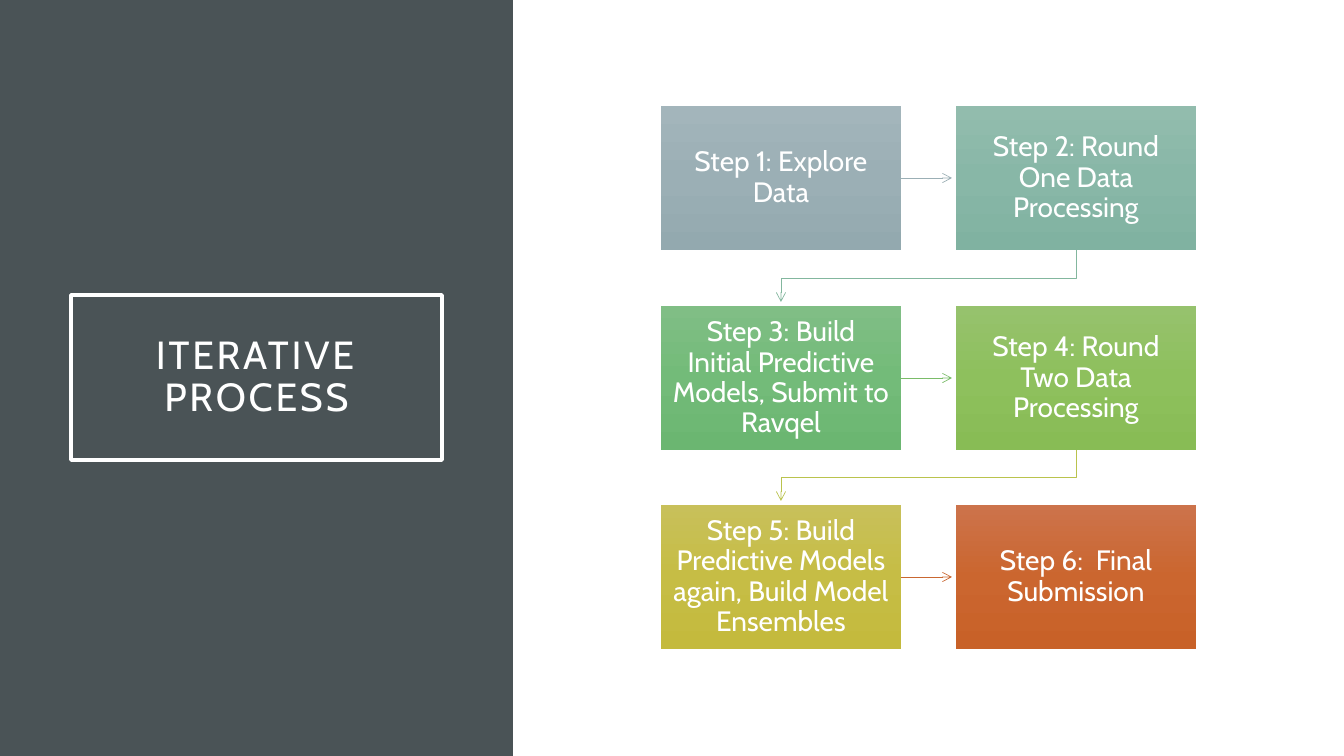
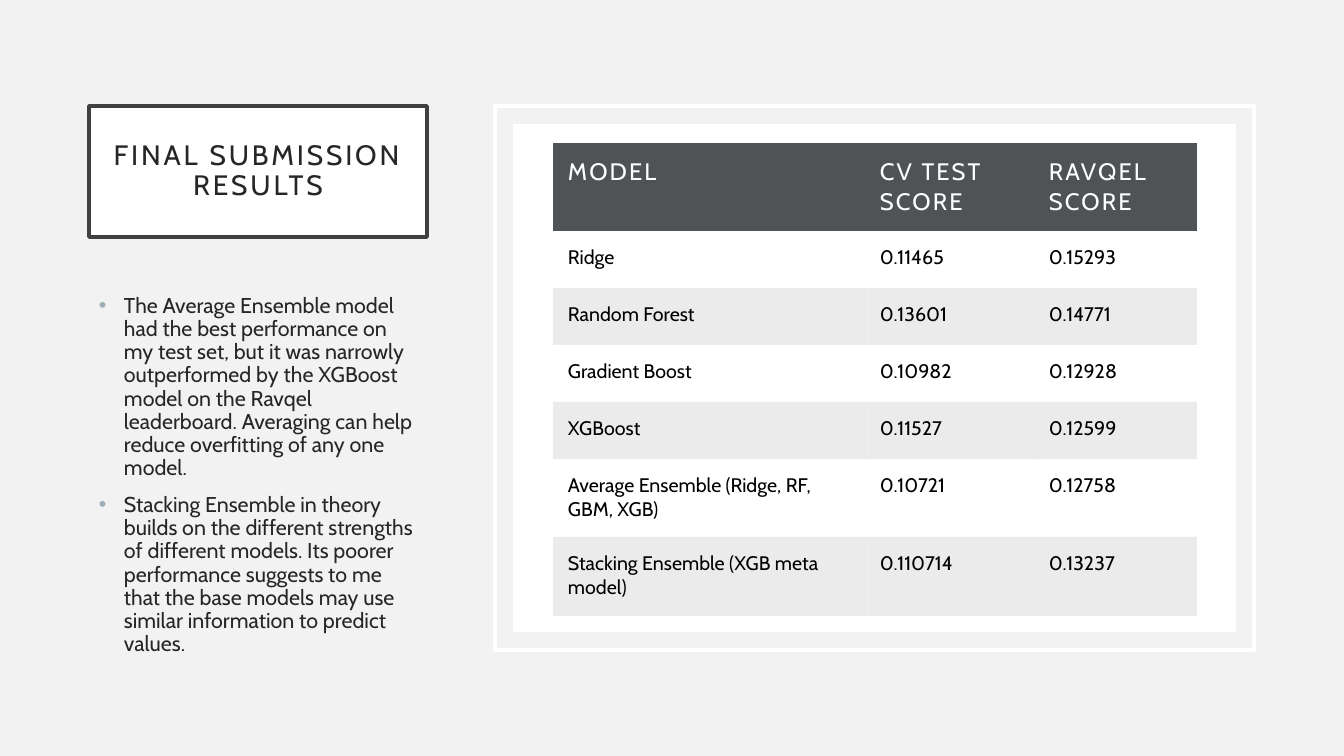
from copy import deepcopy
from itertools import pairwise
from typing import NamedTuple

from lxml.etree import SubElement
from pptx import Presentation
from pptx.dml.color import RGBColor
from pptx.enum.shapes import MSO_CONNECTOR, MSO_SHAPE
from pptx.enum.text import MSO_ANCHOR, MSO_AUTO_SIZE, PP_ALIGN
from pptx.oxml.ns import qn
from pptx.util import Emu, Pt

FONT = "Cabin"
TITLE_ONLY = 5
NO_TABLE_STYLE = "{2D5ABB26-0587-4C30-8999-92F81FD0307C}"

WHITE = RGBColor(0xFF, 0xFF, 0xFF)
BLACK = RGBColor(0x00, 0x00, 0x00)
PAPER = RGBColor(0xF2, 0xF2, 0xF2)
INK = RGBColor(0x26, 0x26, 0x26)
FRAME = RGBColor(0x40, 0x40, 0x40)
SLATE = RGBColor(0x4A, 0x53, 0x56)
HEADER = RGBColor(0x50, 0x53, 0x56)
STEEL = RGBColor(0x9B, 0xAF, 0xB5)

# Each step: text, gradient from top to bottom, colour of the arrow that leaves it
STEPS = [
    ("Step 1: Explore Data", "A3B5BB 9BAFB5 93A9AF", "9BAFB5"),
    ("Step 2: Round One Data Processing", "92BCAD 88B7A7 80B2A1", "83B79E"),
    ("Step 3: Build Initial Predictive Models, Submit to Ravqel",
     "80BE85 73BB79 6BB671", "7ABC69"),
    ("Step 4: Round Two Data Processing", "96C26D 8EC05D 88BC55", "BAC34D"),
    ("Step 5: Build Predictive Models again, Build Model Ensembles",
     "C8C05A C6BD45 C4BA3D", "C96731"),
    ("Step 6:  Final Submission", "CC734B CB662F C86128", None),
]

FINDINGS = [
    "The Average Ensemble model had the best performance on my test set, but it "
    "was narrowly outperformed by the XGBoost model on the Ravqel leaderboard. "
    "Averaging can help reduce overfitting of any one model.",
    "Stacking Ensemble in theory builds on the different strengths of different "
    "models. Its poorer performance suggests to me that the base models may use "
    "similar information to predict values.",
]

SCORES = [
    ("MODEL", "CV TEST SCORE", "RAVQEL SCORE"),
    ("Ridge", "0.11465", "0.15293"),
    ("Random Forest", "0.13601", "0.14771"),
    ("Gradient Boost", "0.10982", "0.12928"),
    ("XGBoost", "0.11527", "0.12599"),
    ("Average Ensemble (Ridge, RF, GBM, XGB)", "0.10721", "0.12758"),
    ("Stacking Ensemble (XGB meta model)", "0.110714", "0.13237"),
]
COLUMN_WIDTHS = [312, 169, 163]
ROW_HEIGHTS = [88, 57, 57, 57, 57, 78, 79]


class Box(NamedTuple):
    """A rectangle in pixels."""
    left: int
    top: int
    width: int
    height: int

    @property
    def right(self):
        """Right edge."""
        return self.left + self.width

    @property
    def bottom(self):
        """Bottom edge."""
        return self.top + self.height

    @property
    def center(self):
        """Horizontal centre."""
        return self.left + self.width // 2

    @property
    def middle(self):
        """Vertical centre."""
        return self.top + self.height // 2

    def inset(self, gap):
        """The box shrunk by one gap on every side."""
        return Box(self.left + gap, self.top + gap,
                   self.width - 2 * gap, self.height - 2 * gap)


def px(pixels):
    """Turn pixels (100.8 to the inch) into EMU."""
    return Emu(round(pixels * 914400 / 100.8))


def emus(box):
    """Left, top, width and height of a box in EMU."""
    return [px(length) for length in box]


def set_margins(holder, pixels):
    """Give a text frame or cell the same margin on all sides."""
    holder.margin_left = holder.margin_right = px(pixels)
    holder.margin_top = holder.margin_bottom = px(pixels)


def add_span(para, text, size, color, spacing=0):
    """Add one formatted run; spacing is in points."""
    span = para.add_run()
    span.text = text
    span.font.name, span.font.size = FONT, Pt(size)
    span.font.color.rgb = color
    if spacing:
        span.font._element.set("spc", str(round(spacing * 100)))


def center_text(frame, margin):
    """Centre a frame's text both ways and return its first paragraph."""
    frame.word_wrap, frame.auto_size = True, MSO_AUTO_SIZE.NONE
    frame.vertical_anchor = MSO_ANCHOR.MIDDLE
    set_margins(frame, margin)
    para = frame.paragraphs[0]
    para.alignment, para.line_spacing = PP_ALIGN.CENTER, 0.9
    return para


def add_rectangle(page, box, fill=None, line=None):
    """Add a flat rectangle, filled or outlined."""
    shape = page.shapes.add_shape(MSO_SHAPE.RECTANGLE, *emus(box))
    shape.shadow.inherit = False
    paint(shape, fill, line)
    return shape


def paint(shape, fill, line):
    """Set a solid fill and a 2.5 point outline, or none."""
    if fill is None:
        shape.fill.background()
    else:
        shape.fill.solid()
        shape.fill.fore_color.rgb = fill
    if line is None:
        shape.line.fill.background()
    else:
        shape.line.color.rgb, shape.line.width = line, Pt(2.5)


def add_page(deck, background):
    """Add a title-only page with a plain background."""
    page = deck.slides.add_slide(deck.slide_layouts[TITLE_ONLY])
    page.background.fill.solid()
    page.background.fill.fore_color.rgb = background
    return page


def place_title(page, box, lines, size, color, line, fill=None):
    """Format the title as a framed box in front of what is there so far."""
    title = page.shapes.title
    title.left, title.top, title.width, title.height = emus(box)
    paint(title, fill, line)
    para = center_text(title.text_frame, 20)
    for index, text in enumerate(lines):
        if index:
            para.add_line_break()
        add_span(para, text, size, color, spacing=2)
    page.shapes._spTree.append(title._element)


def add_step(page, box, text, gradient):
    """Add one process step with a vertical three-colour gradient."""
    step = add_rectangle(page, box)
    step.fill.gradient()
    step.fill.gradient_angle = 270
    stop_list = step._element.xpath(".//a:gsLst")[0]
    stop_list.insert(1, deepcopy(stop_list[0]))
    for index, (stop, color) in enumerate(zip(step.fill.gradient_stops, gradient.split())):
        stop.position = index / 2
        stop.color.rgb = RGBColor.from_string(color)
    add_span(center_text(step.text_frame, 12), text, 20, WHITE)


def add_arrow(page, start, end, color):
    """Link two steps: straight within a row, bent to the next row."""
    gap = 4
    if start.top == end.top:
        arrow = page.shapes.add_connector(
            MSO_CONNECTOR.STRAIGHT, px(start.right), px(start.middle),
            px(end.left - gap), px(end.middle))
        SubElement(arrow._element.spPr, qn("a:effectLst"))
    else:
        turn = (start.bottom + end.top) // 2
        outline = page.shapes.build_freeform(px(start.center), px(start.bottom))
        corners = [(start.center, turn), (end.center, turn), (end.center, end.top - gap)]
        outline.add_line_segments([(px(x), px(y)) for x, y in corners], close=False)
        arrow = outline.convert_to_shape()
        arrow.shadow.inherit = False
        arrow.fill.background()
    arrow.line.color.rgb, arrow.line.width = RGBColor.from_string(color), Pt(0.5)
    SubElement(arrow.line._get_or_add_ln(), qn("a:tailEnd"), type="arrow")


def add_process(page, box):
    """Lay the steps out in two columns and link them in order."""
    width, height, columns = 240, 144, 2
    rows = len(STEPS) // columns
    across = box.width - width
    down = (box.height - height) / (rows - 1)
    cells = [Box(box.left + index % columns * across,
                 box.top + round(index // columns * down), width, height)
             for index in range(len(STEPS))]
    for cell, (text, gradient, _) in zip(cells, STEPS):
        add_step(page, cell, text, gradient)
    for (start, end), (_, _, color) in zip(pairwise(cells), STEPS):
        add_arrow(page, start, end, color)


def add_findings(page, box):
    """Add the bulleted findings."""
    frame = page.shapes.add_textbox(*emus(box)).text_frame
    frame.word_wrap = True
    for index, text in enumerate(FINDINGS):
        para = frame.add_paragraph() if index else frame.paragraphs[0]
        para.line_spacing, para.space_before = 0.9, Pt(10)
        add_span(para, text, 15.3, INK)
        properties = para._p.get_or_add_pPr()
        properties.set("marL", str(px(25)))
        properties.set("indent", str(px(-25)))
        bullet_color = SubElement(properties, qn("a:buClr"))
        SubElement(bullet_color, qn("a:srgbClr"), val=str(STEEL))
        SubElement(properties, qn("a:buFont"), typeface="Arial")
        SubElement(properties, qn("a:buChar"), char="•")


def fill_cell(cell, row):
    """Fill the header dark, tint every second body row, leave the rest clear."""
    if row % 2 and row:
        cell.fill.background()
        return
    cell.fill.solid()
    cell.fill.fore_color.rgb = BLACK if row else HEADER
    if row:
        tint = cell._tc.xpath("./a:tcPr/a:solidFill/a:srgbClr")[0]
        SubElement(tint, qn("a:alpha"), val="8000")


def add_scores(page, left, top):
    """Add the table of model scores."""
    box = Box(left, top, sum(COLUMN_WIDTHS), sum(ROW_HEIGHTS))
    table = page.shapes.add_table(len(SCORES), len(COLUMN_WIDTHS), *emus(box)).table
    table.horz_banding = False
    table._tbl.xpath("./a:tblPr/a:tableStyleId")[0].text = NO_TABLE_STYLE
    for column, width in zip(table.columns, COLUMN_WIDTHS):
        column.width = px(width)
    for row, (values, height) in enumerate(zip(SCORES, ROW_HEIGHTS)):
        table.rows[row].height = px(height)
        style = (14, BLACK) if row else (17, WHITE, 1.5)
        for column, value in enumerate(values):
            cell = table.cell(row, column)
            set_margins(cell, 15)
            fill_cell(cell, row)
            add_span(cell.text_frame.paragraphs[0], value, *style)


def build_process_page(deck):
    """Dark title panel on the left, process on the right."""
    page = add_page(deck, WHITE)
    add_rectangle(page, Box(0, 0, 513, 756), fill=SLATE)
    place_title(page, Box(71, 295, 371, 165), ["ITERATIVE", "PROCESS"], 28, WHITE, WHITE)
    add_process(page, Box(661, 106, 535, 543))


def build_results_page(deck):
    """Title and findings on the left, framed score table on the right."""
    page = add_page(deck, PAPER)
    place_title(page, Box(89, 106, 338, 131), ["FINAL SUBMISSION RESULTS"],
                20, INK, FRAME, WHITE)
    add_findings(page, Box(89, 290, 338, 360))
    frame = Box(495, 106, 759, 544)
    add_rectangle(page, frame, line=WHITE)
    panel = frame.inset(18)
    add_rectangle(page, panel, fill=WHITE)
    add_scores(page, panel.left + 40, panel.top + 19)


deck = Presentation()
deck.slide_width, deck.slide_height = px(1344), px(756)
build_process_page(deck)
build_results_page(deck)
deck.save("out.pptx")
